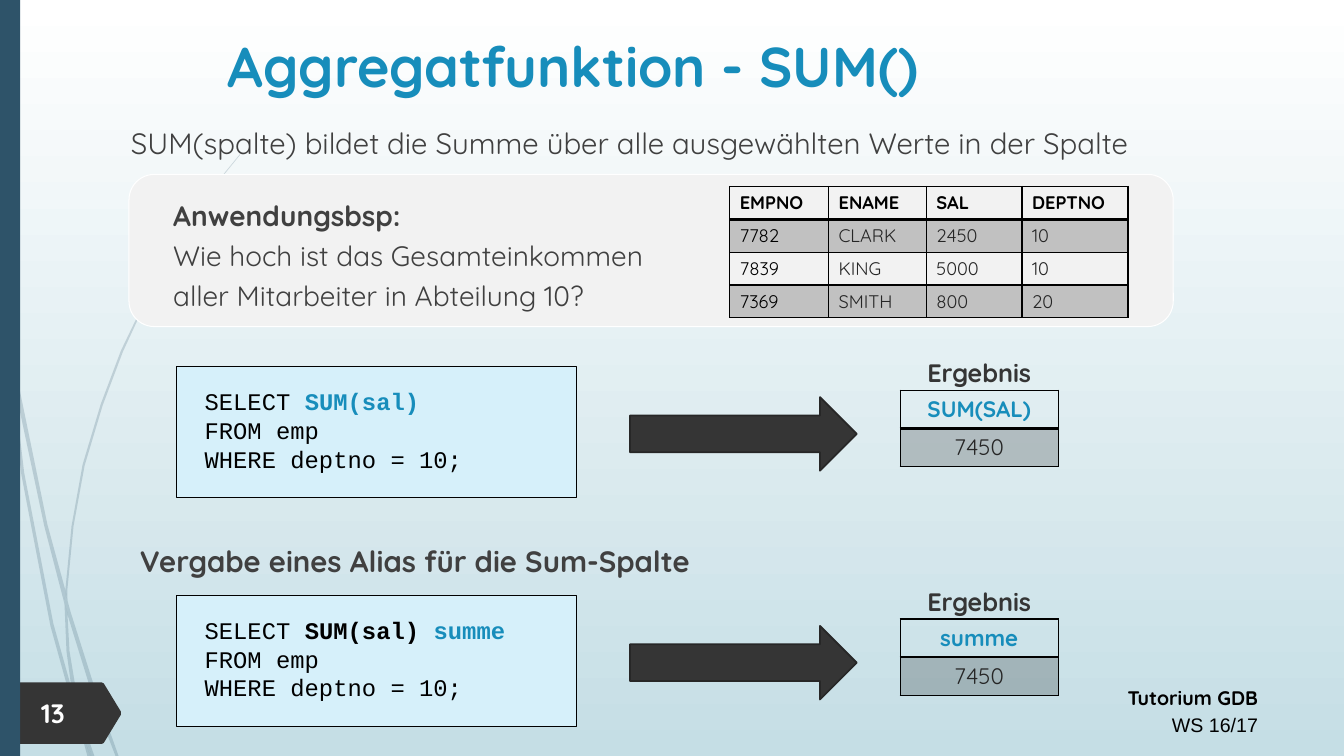
import pptx
import pptx.dml.color
import pptx.enum.shapes
import pptx.enum.text
import pptx.oxml.ns
import pptx.util
from lxml import etree

RGBColor = pptx.dml.color.RGBColor
BLACK = RGBColor(0x00, 0x00, 0x00)
WHITE = RGBColor(0xFF, 0xFF, 0xFF)
MIST = RGBColor(0xC5, 0xDE, 0xE5)
NAVY = RGBColor(0x2E, 0x53, 0x69)
ACCENT = RGBColor(0x17, 0x8D, 0xBB)
CHARCOAL = RGBColor(0x35, 0x35, 0x35)
ARROW_EDGE = RGBColor(0x27, 0x27, 0x27)
BODY = RGBColor(0x40, 0x40, 0x40)
CELL_TEXT = RGBColor(0x26, 0x26, 0x26)
PANEL = RGBColor(0xF2, 0xF2, 0xF2)
CODE_FILL = RGBColor(0xD6, 0xF0, 0xFA)

Pt = pptx.util.Pt
qn = pptx.oxml.ns.qn
SHAPE = pptx.enum.shapes.MSO_SHAPE
ALIGN = pptx.enum.text.PP_ALIGN
TWENTY_PERCENT = "20000"

deck = pptx.Presentation()
deck.slide_width = pptx.util.Emu(12192000)
deck.slide_height = pptx.util.Emu(6858000)
UNIT = deck.slide_height // 750  # the grid has 750 rows of square cells
slide = deck.slides.add_slide(deck.slide_layouts[6])
shapes = slide.shapes

backdrop = slide.background.fill
backdrop.gradient()
backdrop.gradient_angle = 270
for stop, color in zip(backdrop.gradient_stops, (WHITE, MIST)):
    stop.color.rgb = color


def write(frame, lines, look, align=ALIGN.LEFT, spacing=None):
    """Fill a text frame; each line is a list of (text, changes to look)."""
    frame.word_wrap = True
    for number, line in enumerate(lines):
        paragraph = frame.add_paragraph() if number else frame.paragraphs[0]
        paragraph.alignment = align
        paragraph.line_spacing = spacing
        for text, changes in line:
            run = paragraph.add_run()
            run.text = text
            values = {"name": "Quicksand", "bold": False, **look, **changes}
            run.font.color.rgb = values.pop("color")
            for attribute, value in values.items():
                setattr(run.font, attribute, value)


def add_data_table(left, top, widths, row_height, rows, size, header_color,
                   key_color, align):
    """Add a ruled table with a bold header and shaded odd data rows."""
    frame = shapes.add_table(len(rows), len(widths), left * UNIT, top * UNIT,
                             sum(widths) * UNIT, len(rows) * row_height * UNIT)
    table = frame.table
    table.first_row = table.horz_banding = False
    for column, width in zip(table.columns, widths):
        column.width = width * UNIT
    for r, values in enumerate(rows):
        table.rows[r].height = row_height * UNIT
        for c, value in enumerate(values):
            cell = table.cell(r, c)
            data_color = CELL_TEXT if c else key_color
            look = {"size": Pt(size), "bold": r == 0,
                    "color": data_color if r else header_color}
            write(cell.text_frame, [[(value, {})]], look, align)
            properties = cell._tc.get_or_add_tcPr()
            if r % 2:
                cell.fill.solid()
                cell.fill.fore_color.rgb = BLACK
                shade = properties.find(".//" + qn("a:srgbClr"))
                etree.SubElement(shade, qn("a:alpha"), val=TWENTY_PERCENT)
            else:
                cell.fill.background()
            for place, side in enumerate("LRTB"):
                under_header = (r, side) in ((0, "B"), (1, "T"))
                border = etree.Element(qn("a:ln" + side),
                                       w=str(Pt(2 if under_header else 1)))
                ink = etree.SubElement(border, qn("a:solidFill"))
                etree.SubElement(ink, qn("a:srgbClr"), val=str(BLACK))
                properties.insert(place, border)


# Curved stems along the left edge, and the tag behind the page number
stems = [
    [(8, 350), (6, 322), (0, 282), (0, 299), (8, 344)],
    [(44, 522), (64, 599), (65, 586), (47, 520), (11, 345), (13, 376)],
    [(70, 607), (67, 596), (67, 610), (93, 694), (115, 751), (118, 751), (97, 692)],
    [(91, 751), (94, 751), (80, 711)],
    [(71, 683), (53, 619), (24, 469), (13, 376), (8, 350), (21, 470), (50, 621),
     (70, 693), (77, 714), (75, 707)],
    [(64, 599), (66, 646), (71, 683), (73, 692), (80, 711), (79, 706), (69, 646),
     (67, 610), (67, 608)],
    [(67, 584), (73, 522), (84, 462), (102, 402), (122, 349), (146, 297), (174, 245),
     (205, 198), (221, 175), (238, 154), (238, 153), (220, 175), (204, 197),
     (173, 244), (145, 296), (120, 348), (100, 401), (82, 461), (71, 522), (65, 584),
     (65, 586), (67, 596)],
    [(77, 714), (87, 751), (90, 751)],
    [(67, 608), (67, 610), (67, 596), (65, 586), (64, 599)],
    [(74, 692), (71, 683), (75, 707), (77, 714), (90, 751), (91, 751), (80, 711)],
]
page_tag = [(120, 709), (103, 737), (101, 738), (0, 738), (0, 677), (101, 677),
            (103, 678), (120, 706)]
for outline in stems + [page_tag]:
    builder = shapes.build_freeform(*outline[0], scale=UNIT)
    builder.add_line_segments(outline[1:], close=True)
    form = builder.convert_to_shape()
    form.shadow.inherit = False
    form.fill.solid()
    form.fill.fore_color.rgb = CHARCOAL if outline is page_tag else NAVY
    if outline is not page_tag:
        tint = form._element.spPr.find(".//" + qn("a:srgbClr"))
        etree.SubElement(tint, qn("a:alpha"), val=TWENTY_PERCENT)
    form.line.fill.background()

STEP = 227  # from the first query to the second
queries = [
    ([("SELECT ", {}), ("SUM(sal)", {"color": ACCENT, "bold": True})], "SUM(SAL)"),
    ([("SELECT ", {}), ("SUM(sal) ", {"bold": True}),
      ("summe", {"color": ACCENT, "bold": True})], "summe"),
]
blocks = [
    (SHAPE.RECTANGLE, (0, 0, 20, 750), NAVY, None, 0),
    (SHAPE.ROUNDED_RECTANGLE, (128, 173, 1036, 151), PANEL, WHITE, 0.75),
]
for index in range(len(queries)):
    blocks += [
        (SHAPE.RECTANGLE, (175, 364 + index * STEP, 397, 130), CODE_FILL, BLACK, 0.75),
        (SHAPE.RIGHT_ARROW, (625, 394 + index * STEP, 225, 73), CHARCOAL, ARROW_EDGE, 1.25),
    ]
code_boxes = []
for kind, box, fill, edge, weight in blocks:
    block = shapes.add_shape(kind, *(value * UNIT for value in box))
    block.shadow.inherit = False
    block.fill.solid()
    block.fill.fore_color.rgb = fill
    if edge is None:
        block.line.fill.background()
    else:
        block.line.color.rgb = edge
        block.line.width = Pt(weight)
    if fill == CODE_FILL:
        code_boxes.append(block)

employees = [
    ("EMPNO", "ENAME", "SAL", "DEPTNO"),
    ("7782", "CLARK", "2450", "10"),
    ("7839", "KING", "5000", "10"),
    ("7369", "SMITH", "800", "20"),
]
add_data_table(724, 185, (98, 97, 95, 105), 32, employees, 13, BLACK, BLACK, ALIGN.LEFT)

heading = {"size": Pt(21), "color": BODY}
texts = [
    ((738, 672, 520, 64), [[("Tutorium GDB", {"bold": True})],
                           [("WS 16/17", {"name": "Arial"})]],
     {"size": Pt(14), "color": BLACK}, ALIGN.RIGHT, 1.14),
    ((31, 686, 70, 42), [[("13", {})]],
     {"size": Pt(19), "color": WHITE, "bold": True}, ALIGN.LEFT, None),
    ((120, 26, 897, 81), [[("Aggregatfunktion - SUM()", {})]],
     {"size": Pt(40), "color": ACCENT, "bold": True}, ALIGN.CENTER, None),
    ((120, 112, 1138, 73),
     [[("SUM(spalte) bildet die Summe über alle ausgewählten Werte in der Spalte", {})]],
     heading, ALIGN.LEFT, 1.2),
    ((162, 185, 536, 148),
     [[("Anwendungsbsp:", {"bold": True})],
      [("Wie hoch ist das Gesamteinkommen aller Mitarbeiter in Abteilung 10?", {})]],
     {"size": Pt(20), "color": BODY}, ALIGN.LEFT, 1.2),
    ((129, 527, 1138, 73),
     [[("Vergabe eines Alias für die Sum-Spalte", {"bold": True})]],
     heading, ALIGN.LEFT, 1.2),
]
code_margins = {"margin_left": 28, "margin_top": 0, "margin_right": 10, "margin_bottom": 5}
for index, (select, result) in enumerate(queries):
    code = code_boxes[index].text_frame
    for margin, value in code_margins.items():
        setattr(code, margin, value * UNIT)
    code.vertical_anchor = pptx.enum.text.MSO_ANCHOR.MIDDLE
    write(code, [select, [("FROM emp", {})], [("WHERE deptno = 10;", {})]],
          {"name": "Courier New", "size": Pt(17), "color": BLACK})
    add_data_table(893, 387 + index * STEP, (157,), 38, [(result,), ("7450",)], 16,
                   ACCENT, CELL_TEXT, ALIGN.CENTER)
    texts.append(((903, 350 + index * STEP, 137, 40), [[("Ergebnis", {})]],
                  {"size": Pt(18), "color": CHARCOAL, "bold": True}, ALIGN.CENTER, None))

for box, lines, look, align, spacing in texts:
    caption = shapes.add_textbox(*(value * UNIT for value in box))
    write(caption.text_frame, lines, look, align, spacing)

deck.save("out.pptx")
